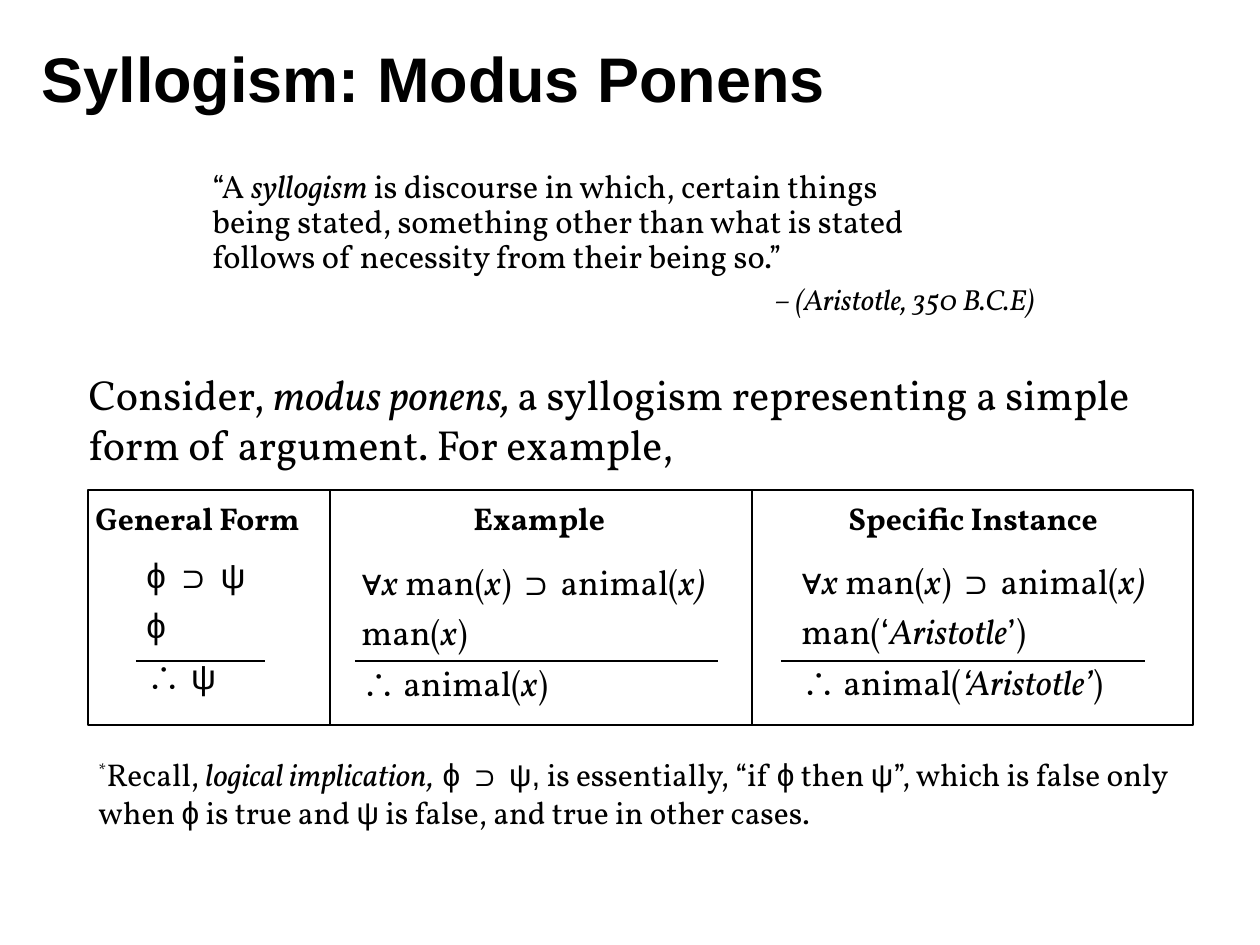
import pptx
import pptx.util
import pptx.dml.color
import pptx.enum.shapes
import pptx.enum.text
import pptx.oxml.ns
from lxml import etree

# Marks that switch a format on and off inside the texts
MARKS = {"_": "italic", "|": "symbol", "^": "raised"}
COLORS = {"ink": "000000"}
FONTS = {"heading": "Arial", "symbol": "Arial", "body": "Vollkorn"}

# Content
TITLE = "Syllogism: Modus Ponens"
QUOTE = ("“A _syllogism_ is discourse in which, certain things\n"
         "being stated, something other than what is stated\n"
         "follows of necessity from their being so.”")
QUOTE_SOURCE = "_– (Aristotle, 350 B.C.E)_"
INTRO = ("Consider, _modus ponens, _a syllogism representing a simple "
         "form of argument. For example,")
IMPLICATION = "|∀|_x_ man(_x_) |⊃| animal(_x)_"
ARGUMENTS = [
    {"heading": "General Form", "steps": ["|ϕ ⊃ ψ|", "|ϕ|", "|∴ ψ|"]},
    {"heading": "Example",
     "steps": [IMPLICATION, "man(_x_)", "|∴| animal(_x_)"]},
    {"heading": "Specific Instance",
     "steps": [IMPLICATION, "man(‘_Aristotle_’)", "|∴| animal(_‘Aristotle’_)"]},
]
NOTE = ("^*^Recall, _logical implication,_| ϕ ⊃ ψ,| is essentially, "
        "“if |ϕ| then |ψ|”, which is false only when |ϕ| is true "
        "and |ψ| is false, and true in other cases.")

# Layout in px: boxes are (left, top, width, height)
SLIDE_WIDTH, SLIDE_HEIGHT, PX_PER_INCH = 1260, 945, 126
TITLE_BOX = (29, 19, 1012, 117)
QUOTE_BOX = (200, 164, 847, 205)
INTRO_BOX = (76, 362, 1114, 106)
NOTE_BOX = (86, 749, 1113, 88)
COLUMN_EDGES = [88, 330, 752, 1193]
FRAME_TOP, FRAME_BOTTOM = 490, 725
HEADING_TOP, HEADING_HEIGHT = 493, 50
STEPS_HEIGHT, RULE_Y = 184, 661
COLUMNS = [
    {"heading": (83, 247), "steps": (134, 155), "steps_top": 547, "rule": (136, 265)},
    {"heading": (461, 165), "steps": (349, 398), "steps_top": 554, "rule": (355, 718)},
    {"heading": (836, 280), "steps": (789, 392), "steps_top": 553, "rule": (781, 1145)},
]


def px(length):
    return round(length * pptx.util.Inches(1) / PX_PER_INCH)


def ink():
    return pptx.dml.color.RGBColor.from_string(COLORS["ink"])


def split_marks(text):
    """Return (words, active formats) pairs, cut at marks and line breaks."""
    pieces, words, active = [], "", set()
    for char in text:
        if char in MARKS or char == "\n":
            pieces.append((words, frozenset(active)))
            words = ""
            if char == "\n":
                pieces.append((char, frozenset()))
            else:
                active ^= {MARKS[char]}
        else:
            words += char
    pieces.append((words, frozenset(active)))
    return [piece for piece in pieces if piece[0]]


def write(paragraph, text, size, font="body", bold=False, align="LEFT",
          before=0, spacing=1.0):
    paragraph.alignment = getattr(pptx.enum.text.PP_ALIGN, align)
    paragraph.space_before = pptx.util.Pt(before)
    paragraph.line_spacing = spacing
    for words, formats in split_marks(text):
        if words == "\n":
            paragraph.add_line_break()
            continue
        run = paragraph.add_run()
        run.text = words
        run.font.name = FONTS["symbol" if "symbol" in formats else font]
        run.font.size = pptx.util.Pt(size)
        run.font.bold = bold
        run.font.italic = "italic" in formats
        run.font.color.rgb = ink()
        if "raised" in formats:
            run._r.get_or_add_rPr().set("baseline", "30000")


def place(shape, box):
    """Move a text shape to its box and return its text frame."""
    shape.left, shape.top, shape.width, shape.height = map(px, box)
    shape.text_frame.word_wrap = True
    shape.text_frame.auto_size = pptx.enum.text.MSO_AUTO_SIZE.NONE
    return shape.text_frame


def add_text(box):
    return place(slide.shapes.add_textbox(0, 0, 0, 0), box)


def draw_outline(shape):
    shape.line.color.rgb = ink()
    shape.line.width = pptx.util.Pt(0.75)


def add_line(x1, y1, x2, y2):
    line = slide.shapes.add_connector(
        pptx.enum.shapes.MSO_CONNECTOR.STRAIGHT, px(x1), px(y1), px(x2), px(y2))
    draw_outline(line)
    etree.SubElement(line._element.spPr, pptx.oxml.ns.qn("a:effectLst"))


deck = pptx.Presentation()
deck.slide_width, deck.slide_height = px(SLIDE_WIDTH), px(SLIDE_HEIGHT)
slide = deck.slides.add_slide(deck.slide_layouts[1])

# Title
title = place(slide.shapes.title, TITLE_BOX)
title.vertical_anchor = pptx.enum.text.MSO_ANCHOR.MIDDLE
write(title.paragraphs[0], TITLE, 36, font="heading", bold=True)

# Quotation and its source
quote = add_text(QUOTE_BOX)
write(quote.paragraphs[0], QUOTE, 18.5, spacing=0.9)
write(quote.add_paragraph(), QUOTE_SOURCE, 16.6, align="RIGHT", before=6, spacing=0.9)

# Introduction, without a bullet
intro = place(slide.placeholders[1], INTRO_BOX).paragraphs[0]
intro_format = intro._p.get_or_add_pPr()
intro_format.set("marL", "0")
intro_format.set("indent", "0")
etree.SubElement(intro_format, pptx.oxml.ns.qn("a:buNone"))
write(intro, INTRO, 24)

# Arguments side by side, each with a rule above its conclusion
for argument, column in zip(ARGUMENTS, COLUMNS):
    left, width = column["heading"]
    heading = add_text((left, HEADING_TOP, width, HEADING_HEIGHT))
    write(heading.paragraphs[0], argument["heading"], 18, bold=True)

    left, width = column["steps"]
    steps = add_text((left, column["steps_top"], width, STEPS_HEIGHT))
    for number, step in enumerate(argument["steps"]):
        paragraph = steps.add_paragraph() if number else steps.paragraphs[0]
        write(paragraph, step, 20, before=5 if number else 0)

    rule_start, rule_end = column["rule"]
    add_line(rule_start, RULE_Y, rule_end, RULE_Y)

# Frame and the dividers between its columns
frame_left, *dividers, frame_right = COLUMN_EDGES
frame = slide.shapes.add_shape(
    pptx.enum.shapes.MSO_SHAPE.RECTANGLE, px(frame_left), px(FRAME_TOP),
    px(frame_right - frame_left), px(FRAME_BOTTOM - FRAME_TOP))
frame.shadow.inherit = False
frame.fill.background()
draw_outline(frame)
for divider in dividers:
    add_line(divider, FRAME_TOP, divider, FRAME_BOTTOM)

# Footnote
write(add_text(NOTE_BOX).paragraphs[0], NOTE, 18)

deck.save("out.pptx")
